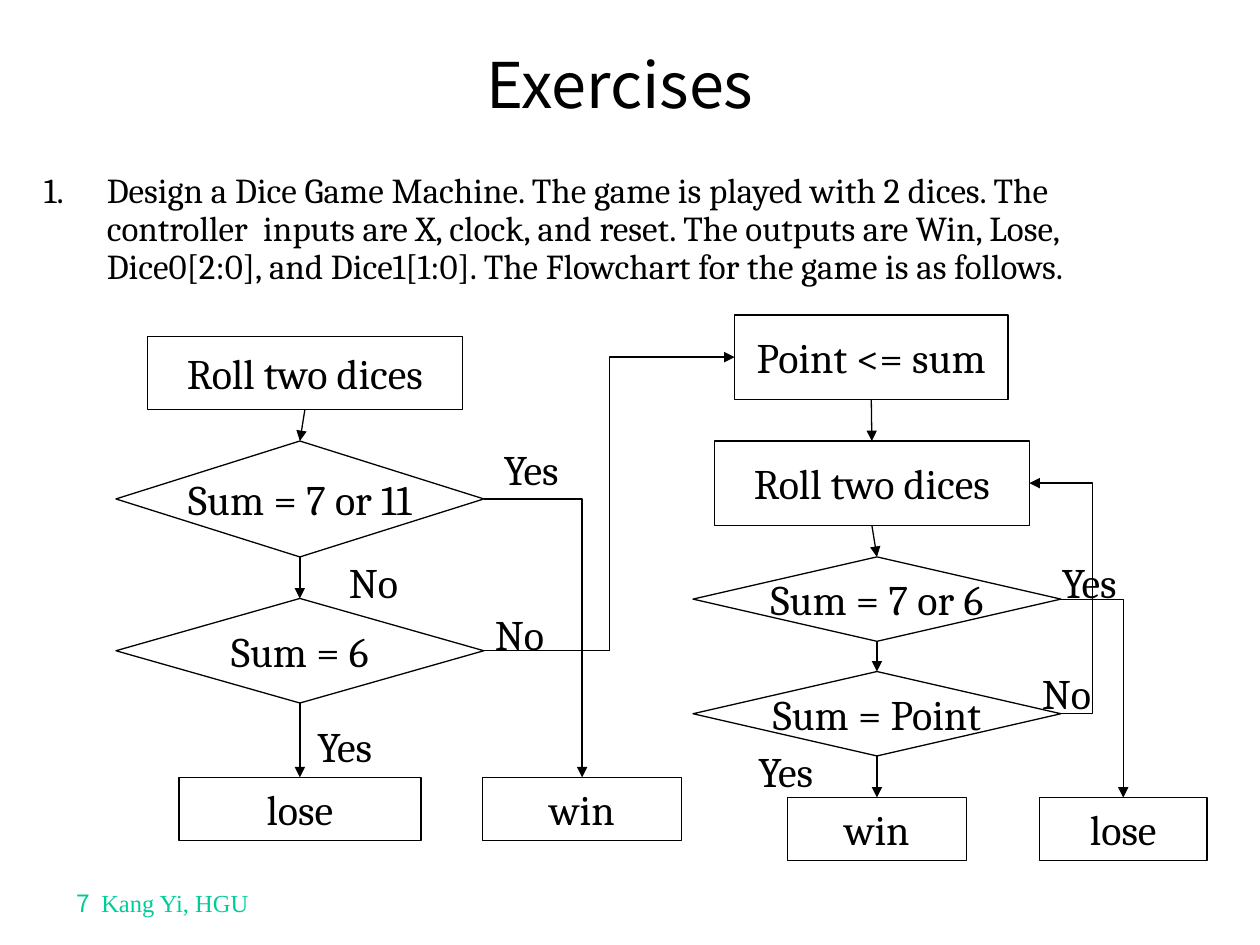
"""Build the dice game exercise slide with its flowchart."""
from lxml import etree
from pptx import Presentation
from pptx.dml.color import RGBColor
from pptx.enum.shapes import MSO_CONNECTOR, MSO_SHAPE
from pptx.enum.text import MSO_ANCHOR, MSO_AUTO_SIZE, PP_ALIGN
from pptx.oxml.ns import qn
from pptx.util import Inches, Pt

BLACK = RGBColor(0, 0, 0)
GREEN = RGBColor(0x00, 0xCC, 0x99)
SERIF, SANS, TIMES = "Cambria", "Noto Sans CJK KR", "Times New Roman"
STEP, TEST = MSO_SHAPE.FLOWCHART_PROCESS, MSO_SHAPE.FLOWCHART_DECISION
LINE, ELBOW = MSO_CONNECTOR.STRAIGHT, MSO_CONNECTOR.ELBOW
CENTER, MIDDLE = PP_ALIGN.CENTER, MSO_ANCHOR.MIDDLE
FIT = MSO_AUTO_SIZE.SHAPE_TO_FIT_TEXT
TOP, LEFT, BOTTOM, RIGHT = range(4)

TITLE = "Exercises"
TASK = ("Design a Dice Game Machine. The game is played with 2 dices. The controller  inputs "
        "are X, clock, and reset. The outputs are Win, Lose,  Dice0[2:0], and Dice1[1:0]. "
        "The Flowchart for the game is as follows.")
FOOTER = [("7  ", SANS), ("Kang Yi, HGU", TIMES)]

NODES = {
    "roll": (STEP, "Roll two dices", 1.17, 2.67, 2.5, 0.58),
    "first": (TEST, "Sum = 7 or 11", 0.92, 3.5, 2.92, 0.92),
    "six": (TEST, "Sum = 6", 0.92, 4.75, 2.92, 0.83),
    "lose": (STEP, "lose", 1.42, 6.17, 1.92, 0.5),
    "win": (STEP, "win", 3.83, 6.17, 1.58, 0.5),
    "point": (STEP, "Point <= sum", 5.83, 2.5, 2.17, 0.67),
    "again": (STEP, "Roll two dices", 5.67, 3.5, 2.5, 0.67),
    "next": (TEST, "Sum = 7 or 6", 5.5, 4.42, 2.92, 0.67),
    "match": (TEST, "Sum = Point", 5.5, 5.33, 2.92, 0.67),
    "win2": (STEP, "win", 6.25, 6.33, 1.42, 0.5),
    "lose2": (STEP, "lose", 8.25, 6.33, 1.33, 0.5),
}
CHAINS = [("roll", "first", "six", "lose"),
          ("point", "again", "next", "match", "win2")]
BENDS = [
    ("six", "point", LEFT, "bentConnector3", 50000),
    ("first", "win", TOP, "bentConnector2", None),
    ("next", "lose2", TOP, "bentConnector2", None),
    ("match", "again", RIGHT, "bentConnector3", -100000),
]
LABELS = [("Yes", 3.9, 3.47), ("No", 2.67, 4.37), ("Yes", 2.42, 5.67), ("No", 3.83, 4.78),
          ("Yes", 8.33, 4.37), ("Yes", 5.92, 5.87), ("No", 8.17, 5.25)]
WIDTHS = {"Yes": 0.72, "No": 0.66}


def style(run, size, face=SERIF, color=BLACK):
    run.font.size = Pt(size)
    run.font.name = face
    run.font.color.rgb = color


def write(shape, text, size, face=SERIF, align=None):
    frame = shape.text_frame
    frame.text = text
    para = frame.paragraphs[0]
    para.alignment = align
    style(para.runs[0], size, face)
    return frame


def add_box(slide, *place):
    return slide.shapes.add_textbox(*map(Inches, place))


def add_node(slide, kind, text, *place):
    node = slide.shapes.add_shape(kind, *map(Inches, place))
    node.shadow.inherit = False
    node.fill.background()
    node.line.color.rgb = BLACK
    node.line.width = Pt(0.75)
    frame = write(node, text, 24, align=CENTER)
    frame.word_wrap = False
    frame.vertical_anchor = MIDDLE
    return node


def site(node, side):
    across = {LEFT: 0, RIGHT: node.width}.get(side, node.width // 2)
    down = {TOP: 0, BOTTOM: node.height}.get(side, node.height // 2)
    return node.left + across, node.top + down


def add_arrow(slide, kind, start, out, end, into):
    arrow = slide.shapes.add_connector(kind, *site(start, out), *site(end, into))
    arrow.line.color.rgb = BLACK
    arrow.line.width = Pt(0.75)
    etree.SubElement(arrow.line._get_or_add_ln(), qn("a:tailEnd"), type="triangle")
    etree.SubElement(arrow._element.spPr, qn("a:effectLst"))
    return arrow


def add_bend(slide, start, end, into, preset, adjust):
    arrow = add_arrow(slide, ELBOW, start, RIGHT, end, into)
    geom = arrow._element.spPr.find(qn("a:prstGeom"))
    geom.set("prst", preset)
    if adjust is not None:
        guides = geom.find(qn("a:avLst"))
        etree.SubElement(guides, qn("a:gd"), name="adj1", fmla=f"val {adjust}")


def add_title(slide):
    title = slide.shapes.title
    title.left, title.top, title.width, title.height = map(Inches, (0.67, 0.25, 8.5, 0.83))
    write(title, TITLE, 36, SANS, CENTER).vertical_anchor = MIDDLE


def add_task(slide):
    frame = write(add_box(slide, 0.25, 1.33, 9.33, 0.5), TASK, 20)
    frame.word_wrap = True
    para = frame.paragraphs[0]
    para.line_spacing = 0.9
    para.space_before = Pt(4)
    props = para._p.get_or_add_pPr()
    props.set("marL", str(Inches(0.5)))
    props.set("indent", str(Inches(-0.5)))
    etree.SubElement(props, qn("a:buFont"), typeface=SERIF)
    etree.SubElement(props, qn("a:buAutoNum"), type="arabicPeriod")


def add_footer(slide):
    frame = add_box(slide, 0.25, 7, 2.08, 0.33).text_frame
    frame.word_wrap = True
    para = frame.paragraphs[0]
    para.alignment = CENTER
    for text, face in FOOTER:
        run = para.add_run()
        run.text = text
        style(run, 14, face, GREEN)


def add_label(slide, text, left, top):
    frame = write(add_box(slide, left, top, WIDTHS[text], 0.5), text, 24)
    frame.word_wrap = False
    frame.auto_size = FIT


def main():
    deck = Presentation()
    deck.slide_width, deck.slide_height = Inches(10), Inches(7.5)
    slide = deck.slides.add_slide(deck.slide_layouts[5])
    add_footer(slide)
    add_title(slide)
    add_task(slide)
    nodes = {name: add_node(slide, *node) for name, node in NODES.items()}
    for chain in CHAINS:
        for start, end in zip(chain, chain[1:]):
            arrow = add_arrow(slide, LINE, nodes[start], BOTTOM, nodes[end], TOP)
            arrow.begin_connect(nodes[start], BOTTOM)
            arrow.end_connect(nodes[end], TOP)
    for start, end, *route in BENDS:
        add_bend(slide, nodes[start], nodes[end], *route)
    for label in LABELS:
        add_label(slide, *label)
    deck.save("out.pptx")


if __name__ == "__main__":
    main()
